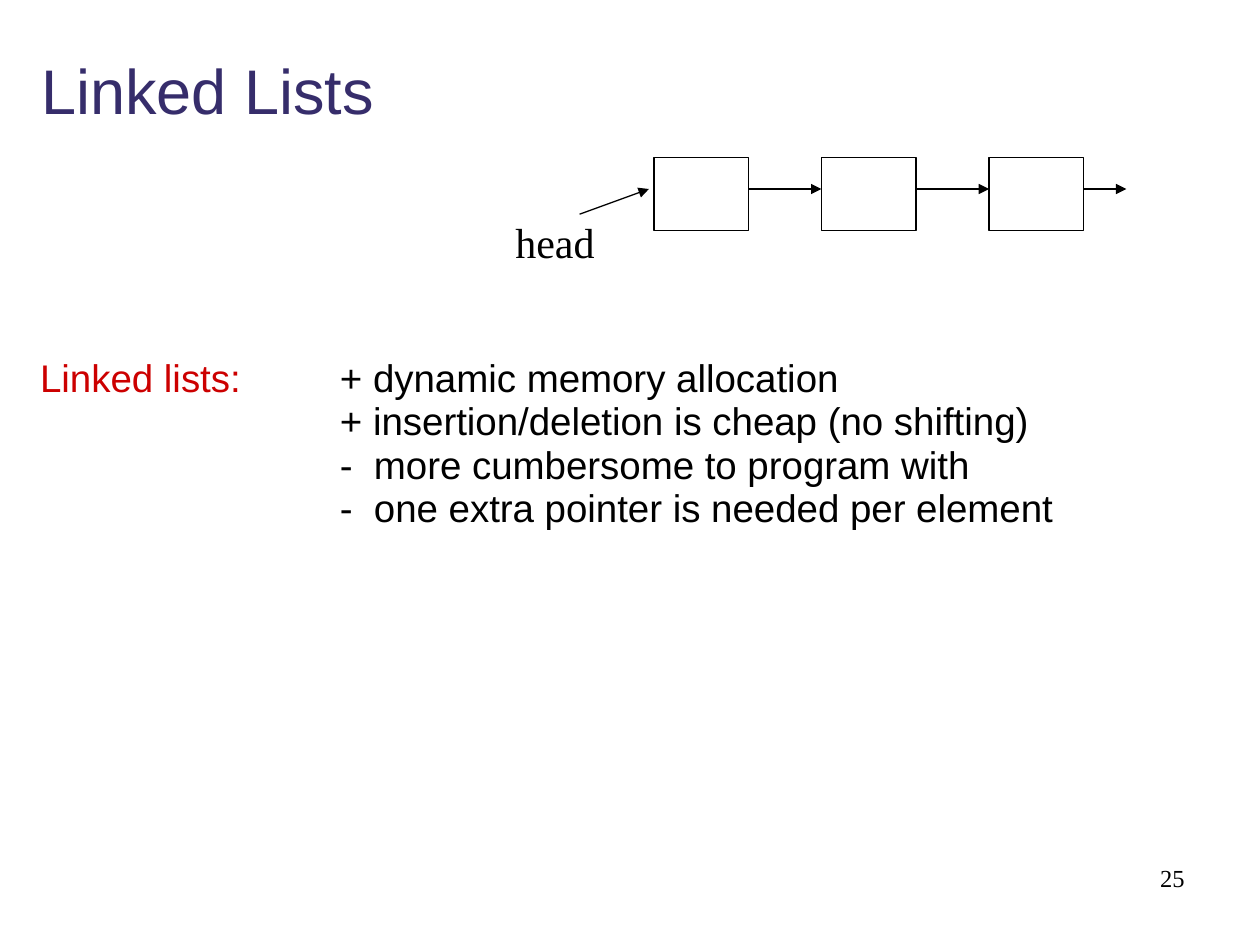
from dataclasses import dataclass

from lxml import etree
from pptx import Presentation
from pptx.dml.color import RGBColor
from pptx.enum.shapes import MSO_CONNECTOR, MSO_SHAPE
from pptx.enum.text import MSO_ANCHOR, PP_ALIGN
from pptx.oxml.ns import qn
from pptx.util import Inches, Pt

RECT = MSO_SHAPE.RECTANGLE
STRAIGHT = MSO_CONNECTOR.STRAIGHT
TOP, MIDDLE = MSO_ANCHOR.TOP, MSO_ANCHOR.MIDDLE
LEFT, CENTER, RIGHT = PP_ALIGN.LEFT, PP_ALIGN.CENTER, PP_ALIGN.RIGHT


@dataclass(frozen=True)
class Theme:
    sans: str = "Arial"
    serif: str = "Times New Roman"
    title: str = "362D6B"
    label: str = "CC0000"
    ink: str = "000000"
    title_size: int = 36
    body_size: int = 22
    head_size: int = 24
    number_size: int = 14
    line: float = 0.74


T = Theme()
SLIDE_W, SLIDE_H = 10, 7.5

# Node row: equal boxes on a constant pitch
NODES = 3
NODE_X, NODE_Y, NODE_W, NODE_H = 5.19, 1.25, 0.75, 0.58
PITCH = 1.33
ARROW_Y = 1.5

# Text columns inside the body
POINT_COL, SIGN_W = 2.38, 0.27
POINTS = [
    ("+", "dynamic memory allocation"),
    ("+", "insertion/deletion is cheap (no shifting)"),
    ("-", "more cumbersome to program with"),
    ("-", "one extra pointer is needed per element"),
]


def add_run(p, text, size, color=T.ink, font=T.sans):
    r = p.add_run()
    r.text = text
    r.font.size, r.font.name = Pt(size), font
    r.font.color.rgb = RGBColor.from_string(color)


def add_box(s, x, y, w, h, anchor=TOP, wrap=True, inset_top=0.05):
    tf = s.shapes.add_textbox(*map(Inches, (x, y, w, h))).text_frame
    tf.word_wrap, tf.vertical_anchor = wrap, anchor
    tf.margin_top = Inches(inset_top)
    return tf


def add_text(s, text, box, size, align=LEFT, color=T.ink, font=T.serif, **frame):
    p = add_box(s, *box, **frame).paragraphs[0]
    p.alignment = align
    add_run(p, text, size, color, font)


def add_node(s, x):
    sp = s.shapes.add_shape(RECT, *map(Inches, (x, NODE_Y, NODE_W, NODE_H)))
    sp.shadow.inherit = False
    sp.fill.background()
    sp.line.color.rgb = RGBColor.from_string(T.ink)
    sp.line.width = Pt(T.line)


def add_arrow(s, x1, y1, x2, y2):
    c = s.shapes.add_connector(STRAIGHT, *map(Inches, (x1, y1, x2, y2)))
    c.line.color.rgb = RGBColor.from_string(T.ink)
    c.line.width = Pt(T.line)
    etree.SubElement(c.line._get_or_add_ln(), qn("a:tailEnd"), type="triangle")
    etree.SubElement(c._element.spPr, qn("a:effectLst"))


def set_indent(p, left, first):
    pPr = p._p.get_or_add_pPr()
    pPr.set("marL", str(Inches(left)))
    pPr.set("indent", str(Inches(first)))


def add_points(s, label, points):
    tf = add_box(s, 0.22, 1.47, 9.24, 3.17, inset_top=1.43)
    for i, (sign, text) in enumerate(points):
        p = tf.paragraphs[0] if i == 0 else tf.add_paragraph()
        p.line_spacing, p.space_before = 0.73, Pt(5.5)
        if i == 0:
            set_indent(p, POINT_COL, -POINT_COL)
            add_run(p, label + "\t", T.body_size, T.label)
        elif sign == "-":
            set_indent(p, POINT_COL + SIGN_W, -SIGN_W)
        else:
            set_indent(p, POINT_COL, 0)
        gap = "\t" if sign == "-" else " "
        add_run(p, sign + gap + text, T.body_size)


def add_list_diagram(s):
    for i in range(NODES):
        x = NODE_X + i * PITCH
        add_node(s, x)
        # The last arrow is a short stub
        end = x + PITCH if i < NODES - 1 else x + NODE_W + 0.34
        add_arrow(s, x + NODE_W, ARROW_Y, end, ARROW_Y)
    add_arrow(s, 4.6, 1.7, 5.15, ARROW_Y)
    add_text(s, "head", (3.99, 1.67, 0.83, 0.5), T.head_size, CENTER, wrap=False)


def main():
    prs = Presentation()
    prs.slide_width, prs.slide_height = Inches(SLIDE_W), Inches(SLIDE_H)
    s = prs.slides.add_slide(prs.slide_layouts[6])

    # Title, body, diagram, slide number
    add_text(s, "Linked Lists", (0.23, 0.17, 9.77, 1.08), T.title_size,
             color=T.title, font=T.sans, anchor=MIDDLE)
    add_points(s, "Linked lists:", POINTS)
    add_list_diagram(s)
    add_text(s, "25", (7.42, 6.8, 2.08, 0.5), T.number_size, RIGHT)

    prs.save("out.pptx")


main()
